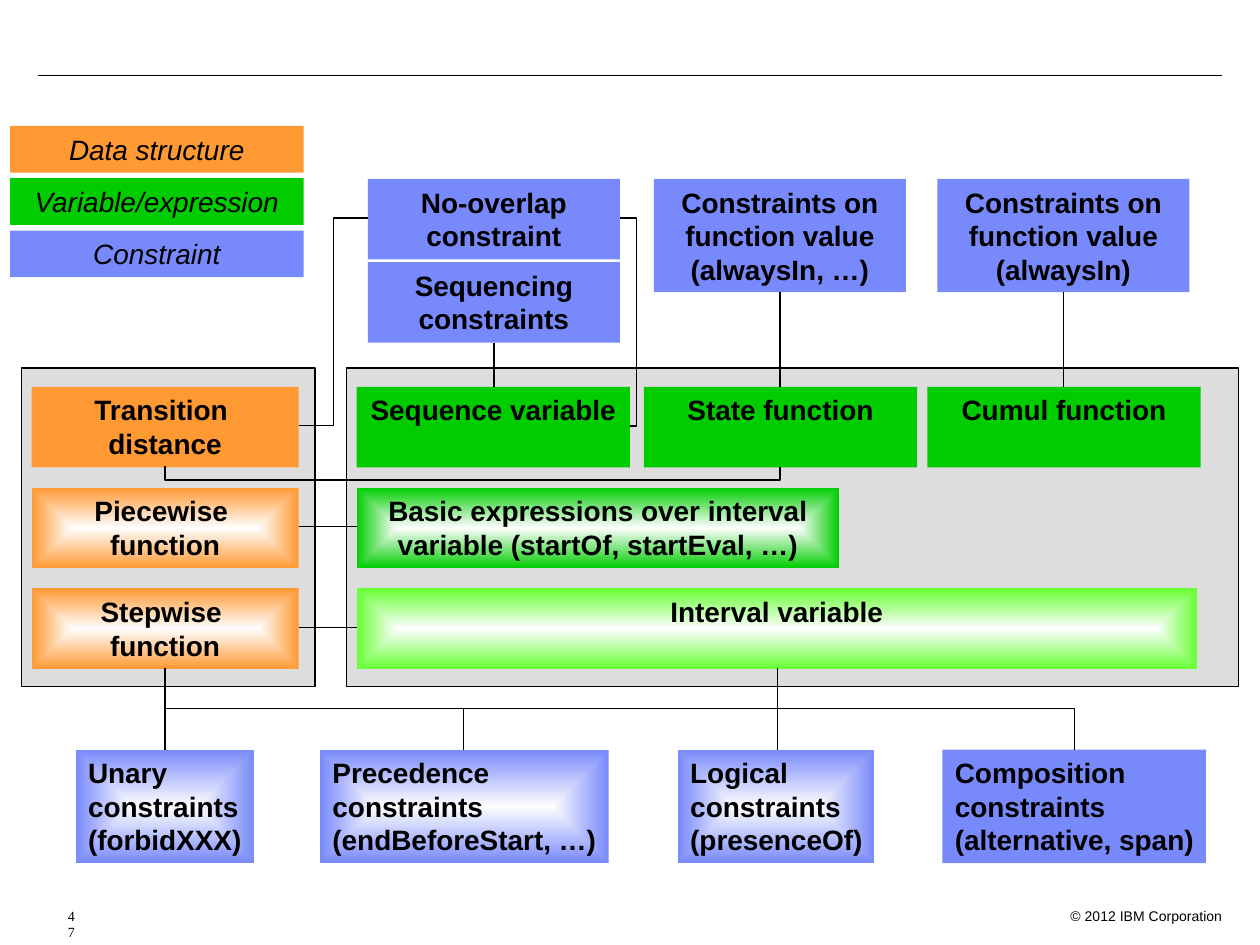
from dataclasses import dataclass

import pptx
import pptx.dml.color
import pptx.enum.shapes
import pptx.enum.text
import pptx.oxml
import pptx.oxml.ns
import pptx.util
from pptx.util import Inches

COLORS = {
    "data": "FF9933",
    "variable": "00CC00",
    "interval": "66FF33",
    "constraint": "7889FB",
    "panel": "DDDDDD",
    "glow": "FEFEFE",
    "ink": "000000",
}
ALIGN = pptx.enum.text.PP_ALIGN
CONNECTOR = pptx.enum.shapes.MSO_CONNECTOR
qn = pptx.oxml.ns.qn


@dataclass
class Box:
    left: float
    top: float
    width: float
    height: float
    color: str
    lines: tuple = ()
    gradient: bool = False
    italic: bool = False
    centered: bool = True
    outlined: bool = False


@dataclass
class Link:
    x1: float
    y1: float
    x2: float
    y2: float
    elbow: str = ""  # "across" leaves sideways, "down" leaves downwards
    bend: float = 0.5


def rgb(name: str) -> pptx.dml.color.RGBColor:
    return pptx.dml.color.RGBColor.from_string(COLORS[name])


def write_lines(shape, lines: tuple, size: float, font_name: str = "Arial",
                bold: bool = False, italic: bool = False, align=ALIGN.LEFT,
                wrap: bool = True) -> None:
    frame = shape.text_frame
    frame.word_wrap = wrap
    frame.vertical_anchor = pptx.enum.text.MSO_ANCHOR.TOP
    for index, line in enumerate(lines):
        paragraph = frame.add_paragraph() if index else frame.paragraphs[0]
        paragraph.text = line
        paragraph.alignment = align
        font = paragraph.font
        font.name, font.size = font_name, pptx.util.Pt(size)
        font.bold, font.italic = bold, italic
        font.color.rgb = rgb("ink")


def fill_from_center(shape, color: str) -> None:
    """Fill with a rectangular gradient, light in the middle."""
    shape.fill.gradient()
    for stop, name in zip(shape.fill.gradient_stops, ("glow", color)):
        stop.color.rgb = rgb(name)
    gradient = shape.element.spPr.find(qn("a:gradFill"))
    gradient.remove(gradient.find(qn("a:lin")))
    gradient.append(pptx.oxml.parse_xml(
        f'<a:path {pptx.oxml.ns.nsdecls("a")} path="rect">'
        '<a:fillToRect l="50000" t="50000" r="50000" b="50000"/></a:path>'))


def draw_box(slide, box: Box) -> None:
    shape = slide.shapes.add_shape(
        pptx.enum.shapes.MSO_SHAPE.RECTANGLE, Inches(box.left), Inches(box.top),
        Inches(box.width), Inches(box.height))
    shape.shadow.inherit = False
    if box.gradient:
        fill_from_center(shape, box.color)
    else:
        shape.fill.solid()
        shape.fill.fore_color.rgb = rgb(box.color)
    if box.outlined:
        shape.line.color.rgb = rgb("ink")
        shape.line.width = pptx.util.Pt(0.75)
    else:
        shape.line.fill.background()
    write_lines(shape, box.lines, 16, bold=not box.italic, italic=box.italic,
                align=ALIGN.CENTER if box.centered else ALIGN.LEFT,
                wrap=box.centered)


def draw_link(slide, link: Link) -> None:
    x1, y1, x2, y2 = link.x1, link.y1, link.x2, link.y2
    if link.elbow == "down":  # laid out sideways, then turned a quarter clockwise
        center_x, center_y = (x1 + x2) / 2, (y1 + y2) / 2
        half_run, half_drop = (x2 - x1) / 2, (y2 - y1) / 2
        x1, x2 = center_x - half_drop, center_x + half_drop
        y1, y2 = center_y + half_run, center_y - half_run
    connector = slide.shapes.add_connector(
        CONNECTOR.ELBOW if link.elbow else CONNECTOR.STRAIGHT,
        Inches(x1), Inches(y1), Inches(x2), Inches(y2))
    connector.line.color.rgb = rgb("ink")
    connector.line.width = pptx.util.Pt(0.75)
    properties = connector.element.spPr
    properties.append(properties.makeelement(qn("a:effectLst"), {}))
    if link.elbow == "down":
        properties.find(qn("a:xfrm")).set("rot", "5400000")
    if link.elbow:
        adjustments = properties.find(qn("a:prstGeom")).find(qn("a:avLst"))
        adjustments.append(adjustments.makeelement(
            qn("a:gd"), {"name": "adj1", "fmla": f"val {round(link.bend * 100000)}"}))


def add_footer_text(slide, left: float, width: float, text: str, **style):
    box = slide.shapes.add_textbox(
        Inches(left), Inches(7.15), Inches(width), Inches(0.2))
    write_lines(box, (text,), 8, **style)
    return box


LEGEND = [
    Box(0.08, 1 + 0.415 * row, 2.33, 0.37, color, (text,), italic=True)
    for row, (color, text) in enumerate([
        ("data", "Data structure"),
        ("variable", "Variable/expression"),
        ("constraint", "Constraint")])
]
PANELS = [Box(left, 2.92, width, 2.53, "panel", outlined=True)
          for left, width in ((0.17, 2.33), (2.75, 7.08))]
DATA_STRUCTURES = [
    Box(0.25, 3.07 + 0.8 * row, 2.12, 0.64, "data", (word, second), gradient=row > 0)
    for row, (word, second) in enumerate([
        ("Transition ", "distance"),
        ("Piecewise ", "function"),
        ("Stepwise ", "function")])
]
VARIABLES = [
    Box(left, 3.07, 2.17, 0.64, "variable", (text,))
    for left, text in ((2.83, "Sequence variable"), (5.11, "State function"),
                       (7.36, "Cumul function"))
] + [
    Box(2.83, 3.87, 3.83, 0.64, "variable",
        ("Basic expressions over interval variable (startOf, startEval, …)",),
        gradient=True),
    Box(2.83, 4.67, 6.67, 0.64, "interval", ("Interval variable",), gradient=True),
]
UPPER_CONSTRAINTS = [
    Box(2.92, 1.42, 2, 0.64, "constraint", ("No-overlap", "constraint")),
    Box(2.92, 2.08, 2, 0.64, "constraint", ("Sequencing", "constraints")),
] + [
    Box(left, 1.42, 2, 0.9, "constraint", ("Constraints on function value", example))
    for left, example in ((5.19, "(alwaysIn, …)"), (7.44, "(alwaysIn)"))
]
LOWER_CONSTRAINTS = [
    Box(left, 5.95, width, 0.9, "constraint", (kind, "constraints", example),
        gradient=kind != "Composition", centered=False)
    for left, width, kind, example in [
        (0.6, 1.42, "Unary", "(forbidXXX)"),
        (2.54, 2.29, "Precedence", "(endBeforeStart, …)"),
        (5.38, 1.56, "Logical", "(presenceOf)"),
        (7.48, 2.09, "Composition", "(alternative, span)")]
]
LINKS = [
    Link(0.3, 0.6, 9.7, 0.6),
    Link(2.37, 4.18, 2.83, 4.18),
    Link(2.37, 4.98, 2.83, 4.98),
    Link(1.31, 5.3, 1.31, 5.95),
    Link(6.17, 5.3, 6.17, 5.95),
    Link(3.92, 3.07, 3.92, 2.72),
    Link(6.19, 3.07, 6.19, 2.32),
    Link(8.44, 3.07, 8.44, 2.32),
    Link(2.37, 3.38, 2.92, 1.73, "across"),
    Link(4.92, 1.73, 5, 3.38, "across", 1.65),
    Link(1.31, 3.7, 6.19, 3.71, "down", 11),
] + [Link(6.17, 5.3, x, 5.95, "down") for x in (1.31, 3.68, 8.53)]


def main() -> None:
    presentation = pptx.Presentation()
    presentation.slide_width, presentation.slide_height = Inches(10), Inches(7.5)
    slide = presentation.slides.add_slide(presentation.slide_layouts[6])
    for box in (PANELS + DATA_STRUCTURES + VARIABLES + UPPER_CONSTRAINTS
                + LOWER_CONSTRAINTS + LEGEND):
        draw_box(slide, box)
    for link in LINKS:
        draw_link(slide, link)
    add_footer_text(slide, 8.3, 1.5, "© 2012 IBM Corporation", align=ALIGN.RIGHT)
    number = add_footer_text(slide, 0.2, 0.4, "47", font_name="Times New Roman")
    indent = number.text_frame.paragraphs[0]._p.get_or_add_pPr()
    indent.set("marL", str(Inches(0.24)))
    indent.set("indent", "0")
    presentation.save("out.pptx")


if __name__ == "__main__":
    main()
